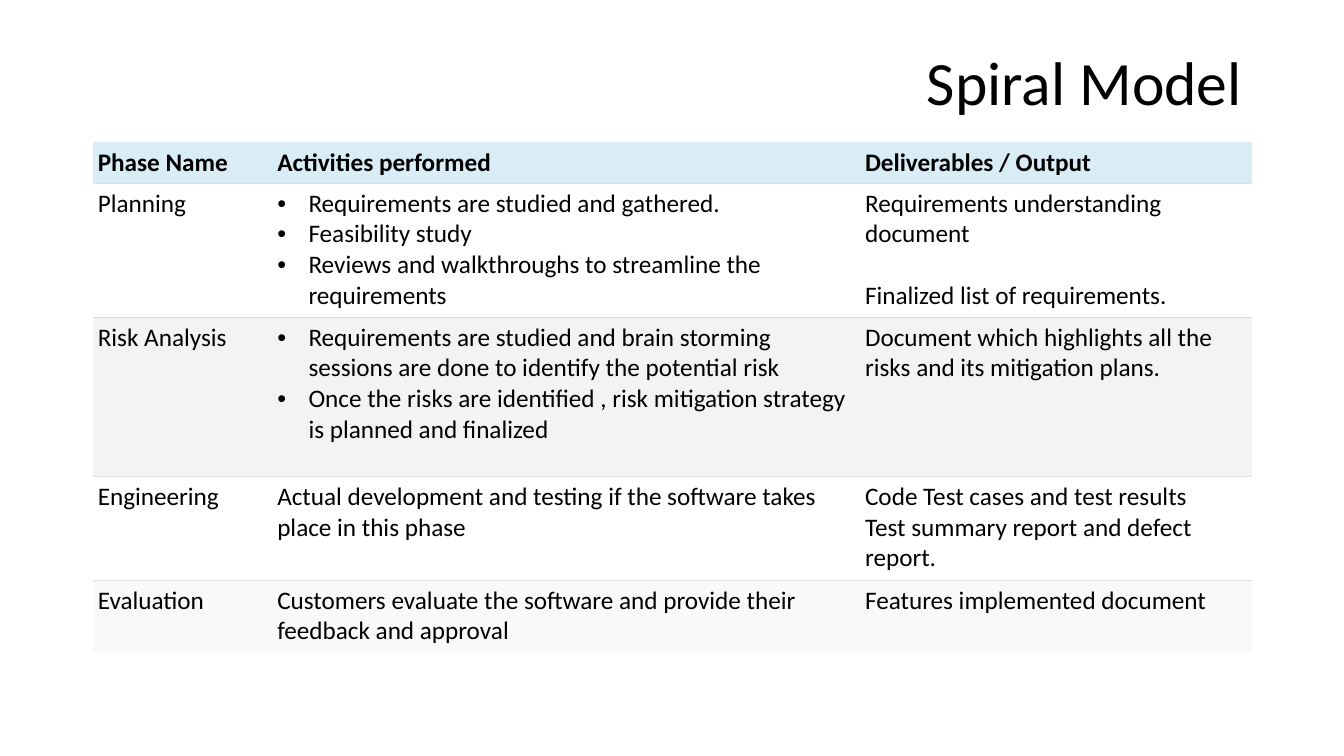
from lxml import etree
from pptx import Presentation
from pptx.dml.color import RGBColor
from pptx.enum.text import MSO_ANCHOR, PP_ALIGN
from pptx.oxml.ns import qn
from pptx.util import Inches, Pt

RIGHT, LEFT = PP_ALIGN.RIGHT, PP_ALIGN.LEFT
MIDDLE, TOP = MSO_ANCHOR.MIDDLE, MSO_ANCHOR.TOP
WIDTH, HEIGHT = 13.33, 7.5
FONT, INK, RULE = "Calibri", "000000", "DDDDDD"
PAD = Inches(0.05)
COLS = [1.78, 5.83, 3.89]
TALL = [0.4, 1.33, 1.58, 1.03, 0.71]
FILLS = ["D9EDF7", "FFFFFF", "F3F3F3", "FFFFFF", "F9F9F9"]
LISTS = {(1, 1), (2, 1)}
GAPS = {(1, 2): Pt(22)}
ROWS = [
    [["Phase Name"], ["Activities performed"], ["Deliverables / Output"]],
    [["Planning"],
     ["Requirements are studied and gathered.", "Feasibility study",
      "Reviews and walkthroughs to streamline the requirements"],
     ["Requirements understanding document", "Finalized list of requirements."]],
    [["Risk Analysis"],
     ["Requirements are studied and brain storming sessions are done to identify the potential risk",
      "Once the risks are identified , risk mitigation strategy is planned and finalized"],
     ["Document which highlights all the risks and its mitigation plans."]],
    [["Engineering"],
     ["Actual development and testing if the software takes place in this phase"],
     ["Code Test cases and test results", "Test summary report and defect report."]],
    [["Evaluation"],
     ["Customers evaluate the software and provide their feedback and approval"],
     ["Features implemented document"]],
]


def color(code):
    return RGBColor.from_string(code)


def put(item, values):
    for name, value in values.items():
        setattr(item, name, value)


def style(font, size, bold):
    put(font, {"name": FONT, "size": Pt(size), "bold": bold})
    font.color.rgb = color(INK)


def bullet(para):
    props = para._p.get_or_add_pPr()
    step = Inches(0.31)
    props.set("marL", str(step))
    props.set("indent", str(-step))
    etree.SubElement(props, qn("a:buFont"), typeface="Arial")
    etree.SubElement(props, qn("a:buChar"), char="•")


def border(cell, above, below):
    props = cell._tc.get_or_add_tcPr()
    sides = {"lnL": False, "lnR": False, "lnT": above, "lnB": below}
    for spot, (side, shown) in enumerate(sides.items()):
        line = etree.Element(qn("a:" + side), w=str(Pt(0.75)))
        props.insert(spot, line)
        if shown:
            fill = etree.SubElement(line, qn("a:solidFill"))
            etree.SubElement(fill, qn("a:srgbClr"), val=RULE)
        else:
            etree.SubElement(line, qn("a:noFill"))


def title(slide, left, top, width, height):
    shape = slide.shapes.title
    put(shape, {"left": Inches(left), "top": Inches(top),
                "width": Inches(width), "height": Inches(height)})
    frame = shape.text_frame
    put(frame, {"text": "Spiral Model", "vertical_anchor": MIDDLE, "word_wrap": True})
    para = frame.paragraphs[0]
    put(para, {"alignment": RIGHT, "line_spacing": 0.9})
    style(para.runs[0].font, 44, False)


def entry(cell, row, col):
    put(cell, {"margin_left": PAD, "margin_right": PAD,
               "margin_top": PAD, "margin_bottom": PAD,
               "vertical_anchor": TOP if row else MIDDLE})
    cell.fill.solid()
    cell.fill.fore_color.rgb = color(FILLS[row])
    border(cell, row > 0, row < len(ROWS) - 1)
    cell.text_frame.text = "\n".join(ROWS[row][col])
    for rank, para in enumerate(cell.text_frame.paragraphs):
        para.alignment = LEFT
        if rank and (row, col) in GAPS:
            para.space_before = GAPS[row, col]
        if (row, col) in LISTS:
            bullet(para)
        style(para.runs[0].font, 18, row == 0)


def phases(slide, left, top, width):
    table = slide.shapes.add_table(
        len(ROWS), len(COLS), Inches(left), Inches(top),
        Inches(width), Inches(sum(TALL))).table
    put(table, {"first_row": False, "horz_banding": False})
    for col, share in zip(table.columns, COLS):
        col.width = Inches(width * share / sum(COLS))
    for row, tall in enumerate(TALL):
        table.rows[row].height = Inches(tall)
        for col in range(len(COLS)):
            entry(table.cell(row, col), row, col)


def main():
    deck = Presentation()
    put(deck, {"slide_width": Inches(WIDTH), "slide_height": Inches(HEIGHT)})
    slide = deck.slides.add_slide(deck.slide_layouts[5])
    side = 0.92
    span = WIDTH - 2 * side + 0.01
    title(slide, side, 0.12, span, 1.45)
    phases(slide, side, 1.41, span)
    deck.save("out.pptx")


if __name__ == "__main__":
    main()
